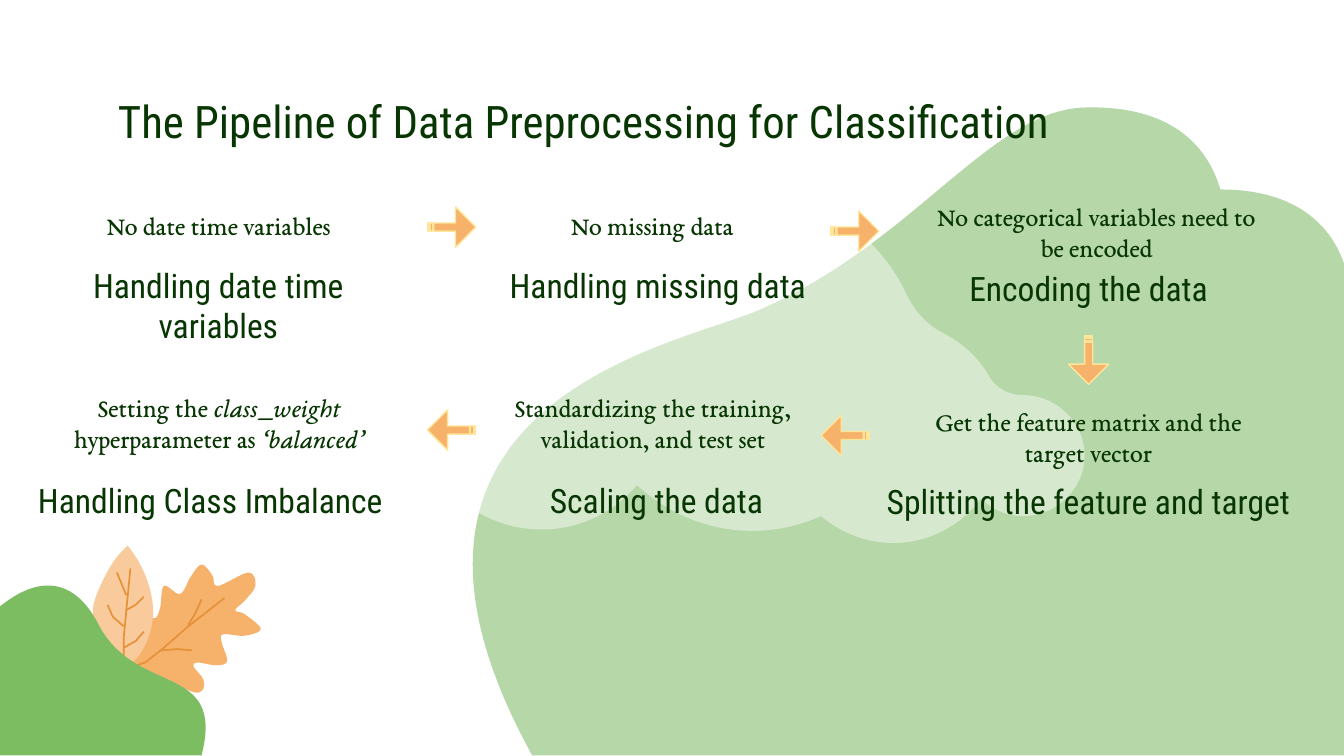
from dataclasses import dataclass

from lxml import etree
from pptx import Presentation
from pptx.dml.color import RGBColor
from pptx.enum.shapes import MSO_SHAPE
from pptx.enum.text import MSO_ANCHOR, PP_ALIGN
from pptx.oxml.ns import qn
from pptx.util import Inches, Pt

STRIPED_ARROW = MSO_SHAPE.STRIPED_RIGHT_ARROW
TOP, BOTTOM = MSO_ANCHOR.TOP, MSO_ANCHOR.BOTTOM
LEFT, CENTER = PP_ALIGN.LEFT, PP_ALIGN.CENTER
BLANK_LAYOUT = 6

Point = tuple[float, float]
Outline = tuple[tuple[float, ...], ...]


@dataclass(frozen=True)
class Theme:
    text: str = "083603"
    orange: str = "F6B26B"
    peach: str = "F9CB9C"
    vein: str = "E69138"
    arrow_line: str = "FFE599"
    green: str = "7DBD61"
    pale_green: str = "B6D7A8"
    white: str = "FFFFFF"
    heading_font: str = "Roboto Condensed"
    body_font: str = "EB Garamond"
    title_size: int = 24
    heading_size: int = 18
    caption_size: int = 14


@dataclass(frozen=True)
class Box:
    left: float
    top: float
    width: float
    height: float


@dataclass(frozen=True)
class Step:
    caption: str
    caption_box: Box
    heading: str
    heading_box: Box
    caption_anchor: MSO_ANCHOR = BOTTOM


@dataclass(frozen=True)
class Arrow:
    left: float
    top: float
    rotation: int = 0


THEME = Theme()

STEPS = (
    Step("No date time variables", Box(0.31, 1.36, 2.64, 0.43),
         "Handling date time variables", Box(0.2, 1.87, 2.85, 0.54)),
    Step("No missing data", Box(3.8, 1.36, 2.11, 0.43),
         "Handling missing data", Box(3.47, 1.87, 2.85, 0.54)),
    Step("No categorical variables need to be encoded", Box(6.84, 1.39, 2.64, 0.67),
         "Encoding the data", Box(6.46, 1.89, 3.28, 0.5), TOP),
    Step("Get the feature matrix and the target vector", Box(6.78, 2.85, 2.64, 0.63),
         "Splitting the feature and target", Box(6.48, 3.48, 3.24, 0.54)),
    Step("Standardizing the training, validation, and test set", Box(3.37, 2.75, 2.98, 0.63),
         "Scaling the data", Box(3.46, 3.47, 2.85, 0.54)),
    Step("Setting the *class_weight* hyperparameter as *‘balanced’*", Box(0.14, 2.75, 2.98, 0.63),
         "Handling Class Imbalance", Box(0.14, 3.47, 2.85, 0.54)),
)

ARROWS = (Arrow(3.18, 1.54), Arrow(6.18, 1.57), Arrow(7.92, 2.53, 90),
          Arrow(6.11, 3.09, 180), Arrow(3.18, 3.05, 180))

# Outlines hold a start point, then cubic segments (six numbers) or lines (two).
LEAF = ((0.95, 4.06), (0.87, 4.13, 0.82, 4.21, 0.78, 4.29), (0.74, 4.37, 0.7, 4.45, 0.69, 4.54),
        (0.69, 4.63, 0.72, 4.71, 0.75, 4.79), (0.79, 4.86, 0.83, 4.94, 0.91, 4.98),
        (1.06, 4.91, 1.13, 4.72, 1.14, 4.57), (1.14, 4.39, 1.07, 4.21, 0.95, 4.06))
FRONT_HILL = ((0, 4.51), (0.02, 4.51, 0.44, 4.09, 0.73, 4.64),
              (1.01, 5.19, 1.68, 4.92, 1.5, 5.62), (0, 5.62))
BACK_HILL = ((9.08, 1.41), (9, 1.13, 8.76, 0.78, 8.07, 0.8), (7.37, 0.82, 6.79, 1.82, 5.64, 2.31),
             (5.04, 2.57, 2.51, 2.99, 3.96, 5.62), (10, 5.62), (10, 1.96),
             (9.91, 1.7, 9.67, 1.41, 9.08, 1.41))
CLOUD = ((5.6, 1.45), (5.24, 1.45, 4.91, 1.6, 4.68, 1.85), (4.53, 2.01, 4.31, 2.1, 4.09, 2.1),
         (4.03, 2.1), (3.52, 2.1, 3.1, 2.51, 3.1, 3.02), (3.1, 3.53, 3.52, 3.94, 4.03, 3.94),
         (4.32, 3.94, 4.57, 3.81, 4.74, 3.61), (4.97, 3.82, 5.27, 3.95, 5.6, 3.95),
         (5.78, 3.95, 5.95, 3.91, 6.11, 3.84), (6.25, 3.96, 6.44, 4.04, 6.65, 4.04),
         (6.91, 4.04, 7.15, 3.91, 7.3, 3.71), (7.38, 3.79, 7.49, 3.84, 7.61, 3.84),
         (7.86, 3.84, 8.07, 3.64, 8.07, 3.39), (8.07, 3.14, 7.86, 2.94, 7.61, 2.94),
         (7.51, 2.94, 7.41, 2.89, 7.36, 2.8), (7.28, 2.66, 7.16, 2.55, 7.02, 2.48),
         (6.9, 2.42, 6.8, 2.31, 6.74, 2.18), (6.54, 1.75, 6.11, 1.45, 5.6, 1.45))

OAK_LEAF_ANCHORS = (
    (1.5, 4.2), (1.42, 4.29), (1.34, 4.42), (1.22, 4.36), (1.19, 4.53), (1.14, 4.6),
    (1.01, 4.49), (0.95, 4.56), (1, 4.71), (1, 4.87), (0.97, 4.97), (1.23, 5.06),
    (1.44, 5.15), (1.51, 5.13), (1.51, 5.05), (1.44, 4.96), (1.47, 4.93),
    (1.61, 4.95), (1.69, 4.92), (1.65, 4.78), (1.66, 4.72), (1.82, 4.73),
    (1.94, 4.68), (1.82, 4.57), (1.75, 4.54), (1.82, 4.47), (1.9, 4.36), (1.85, 4.26),
    (1.62, 4.36), (1.58, 4.28))
OAK_VEINS = (
    ((1.67, 4.45), (1.39, 4.67), (1.22, 4.82), (1.08, 4.93), (0.93, 4.98), (0.69, 5.02)),
    ((1.2, 4.84), (1.32, 4.83), (1.43, 4.84)),
    ((1.5, 4.46), (1.45, 4.57), (1.4, 4.65)))
LEAF_VEINS = (
    ((0.97, 4.23), (0.92, 4.75), (0.92, 5.01)),
    ((0.87, 4.26), (0.94, 4.43)), ((0.8, 4.5), (0.84, 4.59), (0.92, 4.66)),
    ((0.79, 4.76), (0.84, 4.85), (0.91, 4.92)), ((1.07, 4.7), (1.01, 4.77), (0.92, 4.82)),
    ((1.07, 4.44), (1.01, 4.5), (0.94, 4.54)))


def smooth_outline(anchors: tuple[Point, ...]) -> Outline:
    """Run a closed Catmull-Rom curve through the anchors."""
    segments = [anchors[0]]
    for index, (x, y) in enumerate(anchors):
        before, end, after = (anchors[(index + offset) % len(anchors)] for offset in (-1, 1, 2))
        segments.append((x + (end[0] - before[0]) / 6, y + (end[1] - before[1]) / 6,
                         end[0] - (after[0] - x) / 6, end[1] - (after[1] - y) / 6, *end))
    return tuple(segments)


def paint(shape, fill: str | None, line: str | None, line_width: float = 0.75) -> None:
    shape.shadow.inherit = False
    if fill:
        shape.fill.solid()
        shape.fill.fore_color.rgb = RGBColor.from_string(fill)
    else:
        shape.fill.background()
    if line:
        shape.line.color.rgb = RGBColor.from_string(line)
        shape.line.width = Pt(line_width)
    else:
        shape.line.fill.background()


def add_outline(slide, outline: Outline, *, fill: str, opacity: int = 100) -> None:
    ends = [(Inches(segment[-2]), Inches(segment[-1])) for segment in outline]
    builder = slide.shapes.build_freeform(*ends[0])
    builder.add_line_segments(ends[1:])
    shape = builder.convert_to_shape()
    paint(shape, fill, None)
    # Turn the straight sides into cubic curves where control points are given.
    sides = list(shape._element.iter(qn("a:lnTo")))
    for side, segment in zip(sides, outline[1:]):
        if len(segment) == 6:
            side.tag = qn("a:cubicBezTo")
            side.remove(side[0])
            for x, y in zip(segment[::2], segment[1::2]):
                point = etree.SubElement(side, qn("a:pt"))
                point.set("x", str(Inches(x) - shape.left))
                point.set("y", str(Inches(y) - shape.top))
    if opacity < 100:
        color = next(shape._element.iter(qn("a:srgbClr")))
        etree.SubElement(color, qn("a:alpha")).set("val", str(opacity * 1000))


def add_veins(slide, veins: tuple[tuple[Point, ...], ...]) -> None:
    strokes = [[(Inches(x), Inches(y)) for x, y in vein] for vein in veins]
    builder = slide.shapes.build_freeform(*strokes[0][0])
    builder.add_line_segments(strokes[0][1:], close=False)
    for stroke in strokes[1:]:
        builder.move_to(*stroke[0])
        builder.add_line_segments(stroke[1:], close=False)
    paint(builder.convert_to_shape(), None, THEME.vein, 0.9)


def add_text(slide, text: str, box: Box, *, font: str, size: int,
             align: PP_ALIGN = CENTER, anchor: MSO_ANCHOR = TOP) -> None:
    """Add a text box; words between asterisks are italic."""
    shape = slide.shapes.add_textbox(Inches(box.left), Inches(box.top),
                                     Inches(box.width), Inches(box.height))
    frame = shape.text_frame
    frame.word_wrap = True
    frame.vertical_anchor = anchor
    frame.margin_left = frame.margin_right = frame.margin_top = Inches(0.1)
    frame.margin_bottom = Inches(0 if anchor == BOTTOM else 0.1)
    paragraph = frame.paragraphs[0]
    paragraph.alignment = align
    for index, part in enumerate(text.split("*")):
        if part:
            run = paragraph.add_run()
            run.text = part
            run.font.name = font
            run.font.size = Pt(size)
            run.font.italic = index % 2 == 1
            run.font.color.rgb = RGBColor.from_string(THEME.text)


def add_arrow(slide, arrow: Arrow) -> None:
    shape = slide.shapes.add_shape(STRIPED_ARROW, Inches(arrow.left), Inches(arrow.top),
                                   Inches(0.36), Inches(0.3))
    shape.adjustments[0], shape.adjustments[1] = 0.2, 0.5
    shape.rotation = arrow.rotation
    paint(shape, THEME.orange, THEME.arrow_line)


def main() -> None:
    presentation = Presentation()
    presentation.slide_width = Inches(10)
    presentation.slide_height = Inches(10) * 9 // 16
    slide = presentation.slides.add_slide(presentation.slide_layouts[BLANK_LAYOUT])
    add_outline(slide, smooth_outline(OAK_LEAF_ANCHORS), fill=THEME.orange)
    add_veins(slide, OAK_VEINS)
    add_outline(slide, LEAF, fill=THEME.peach)
    add_veins(slide, LEAF_VEINS)
    add_outline(slide, FRONT_HILL, fill=THEME.green)
    add_outline(slide, BACK_HILL, fill=THEME.pale_green)
    add_outline(slide, CLOUD, fill=THEME.white, opacity=45)
    add_text(slide, "The Pipeline of Data Preprocessing for Classification", Box(0.78, 0.6, 8.43, 0.63),
             font=THEME.heading_font, size=THEME.title_size, align=LEFT)
    for step in STEPS:
        add_text(slide, step.caption, step.caption_box, font=THEME.body_font,
                 size=THEME.caption_size, anchor=step.caption_anchor)
        add_text(slide, step.heading, step.heading_box, font=THEME.heading_font, size=THEME.heading_size)
    for arrow in ARROWS:
        add_arrow(slide, arrow)
    presentation.save("out.pptx")


if __name__ == "__main__":
    main()
